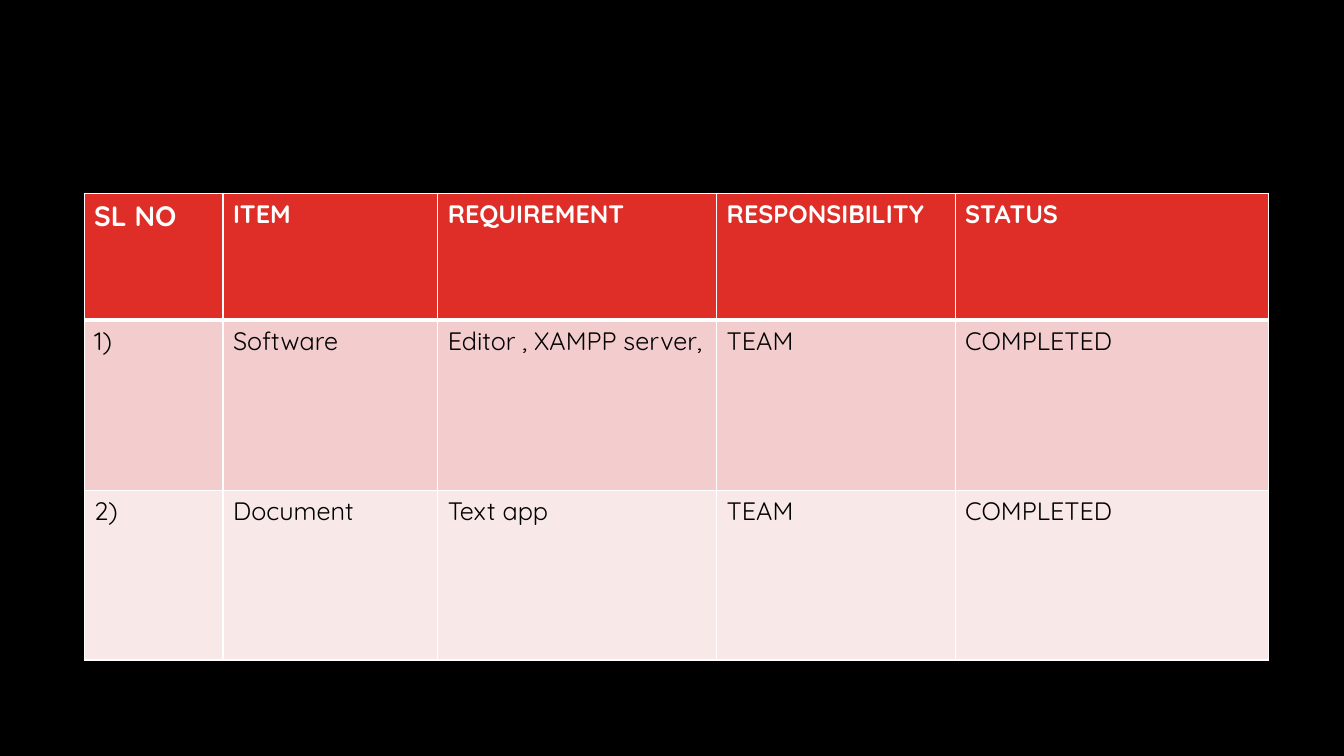
from lxml import etree
from pptx import Presentation
from pptx.dml.color import RGBColor
from pptx.oxml.ns import qn
from pptx.util import Cm, Pt

BLANK_LAYOUT = 6
FONT = "Quicksand"
COLORS = {
    "page": "000000",
    "header": "DF2E28",
    "odd_row": "F3CDCD",
    "even_row": "F9E8E8",
    "border": "FFFFFF",
    "header_text": "FFFFFF",
    "body_text": "000000",
}
COLUMN_WIDTHS = [3.5, 5.41, 7.03, 6.01, 7.9]
ROW_HEIGHTS = [3.2, 4.28, 4.28]
REQUIREMENTS = [
    ["SL NO", "ITEM", "REQUIREMENT", "RESPONSIBILITY", "STATUS"],
    ["1)", "Software", "Editor , XAMPP server,", "TEAM", "COMPLETED"],
    ["2)", "Document", "Text app", "TEAM", "COMPLETED"],
]


def color(name):
    return RGBColor.from_string(COLORS[name])


def set_borders(cell, top, bottom):
    """Draw the cell's four edges; top and bottom are widths in points."""
    properties = cell._tc.get_or_add_tcPr()
    edges = {"lnL": 1, "lnR": 1, "lnT": top, "lnB": bottom}
    for position, (edge, width) in enumerate(edges.items()):
        line = etree.Element(qn(f"a:{edge}"), w=str(Pt(width)))
        fill = etree.SubElement(line, qn("a:solidFill"))
        etree.SubElement(fill, qn("a:srgbClr"), val=COLORS["border"])
        properties.insert(position, line)


def write_cell(cell, text, size, text_color, bold):
    span = cell.text_frame.paragraphs[0].add_run()
    span.text = text
    span.font.name = FONT
    span.font.size = Pt(size)
    span.font.bold = bold
    span.font.color.rgb = color(text_color)


def add_requirements_table(page):
    frame = page.shapes.add_table(
        len(ROW_HEIGHTS), len(COLUMN_WIDTHS), Cm(2.12), Cm(4.87),
        Cm(sum(COLUMN_WIDTHS)), Cm(sum(ROW_HEIGHTS)))
    table = frame.table
    for column, width in zip(table.columns, COLUMN_WIDTHS):
        column.width = Cm(width)
    for row, height in zip(table.rows, ROW_HEIGHTS):
        row.height = Cm(height)

    row_fills = ["header", "odd_row", "even_row"]
    for r, texts in enumerate(REQUIREMENTS):
        is_header = r == 0
        for c, text in enumerate(texts):
            cell = table.cell(r, c)
            cell.fill.solid()
            cell.fill.fore_color.rgb = color(row_fills[r])
            set_borders(cell, top=3 if r == 1 else 1, bottom=3 if is_header else 1)
            write_cell(cell, text, size=20 if r == c == 0 else 18,
                       text_color="header_text" if is_header else "body_text",
                       bold=is_header)


def main():
    deck = Presentation()
    deck.slide_width = Cm(33.87)
    deck.slide_height = Cm(19.05)
    page = deck.slides.add_slide(deck.slide_layouts[BLANK_LAYOUT])
    page.background.fill.solid()
    page.background.fill.fore_color.rgb = color("page")
    add_requirements_table(page)
    deck.save("out.pptx")


if __name__ == "__main__":
    main()
